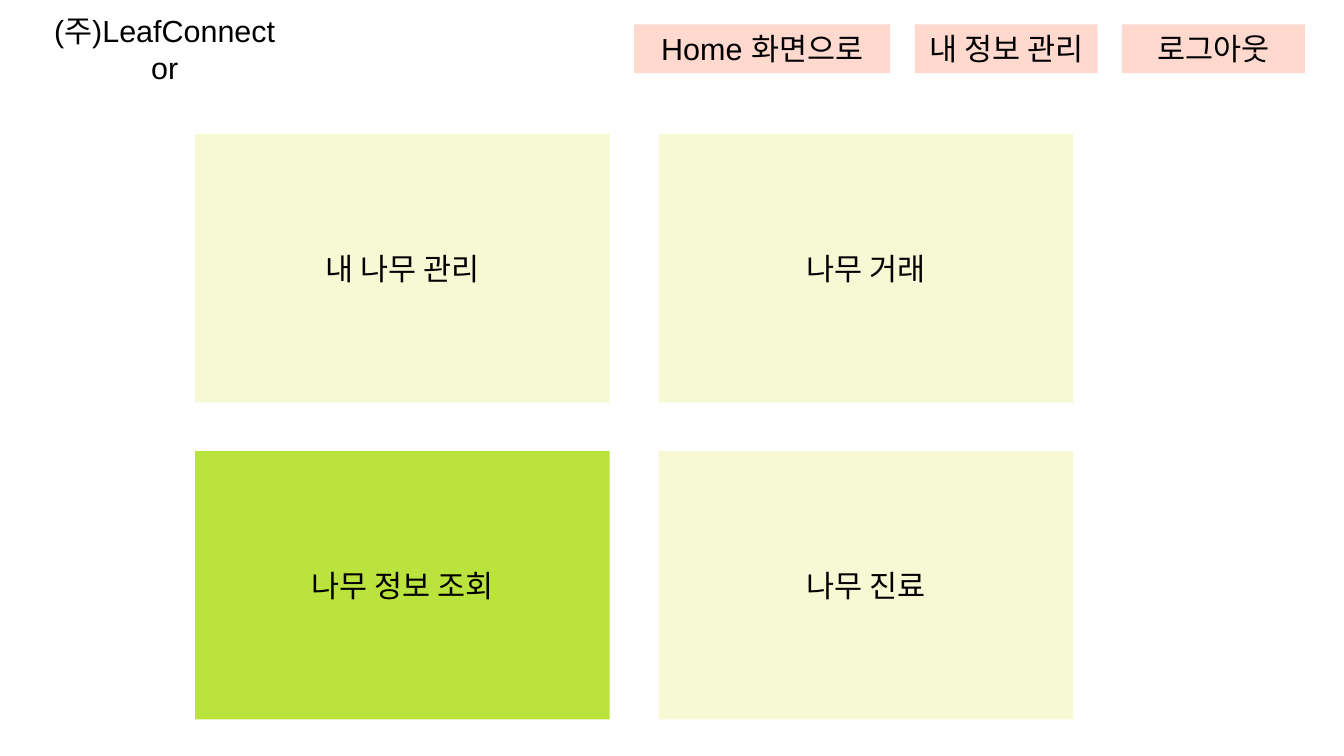
from dataclasses import dataclass

from pptx import Presentation
from pptx.dml.color import RGBColor
from pptx.enum.shapes import MSO_SHAPE
from pptx.enum.text import MSO_ANCHOR, MSO_AUTO_SIZE, PP_ALIGN
from pptx.shapes.autoshape import Shape
from pptx.slide import Slide
from pptx.util import Inches, Pt

WHITE = RGBColor(0xFF, 0xFF, 0xFF)
BLACK = RGBColor(0x00, 0x00, 0x00)
PINK = RGBColor(0xFF, 0xD8, 0xCE)
CREAM = RGBColor(0xF6, 0xF9, 0xD4)
LIME = RGBColor(0xBB, 0xE3, 0x3D)

CELL = Inches(0.1)  # every length below counts cells of this grid

NAV_LEFT, NAV_TOP, NAV_HEIGHT, NAV_GAP = 52, 2, 4, 2
MENU_LEFT, MENU_TOP, MENU_GAP = 16, 11, 4
TILE_WIDTH, TILE_HEIGHT = 34, 22


@dataclass(frozen=True)
class NavButton:
    label: str
    width: int


@dataclass(frozen=True)
class MenuTile:
    label: str
    column: int
    row: int
    color: RGBColor = CREAM


NAV_BUTTONS = [
    NavButton("Home 화면으로", 21),
    NavButton("내 정보 관리", 15),
    NavButton("로그아웃", 15),
]
MENU_TILES = [
    MenuTile("내 나무 관리", 0, 0),
    MenuTile("나무 거래", 1, 0),
    MenuTile("나무 정보 조회", 0, 1, LIME),
    MenuTile("나무 진료", 1, 1),
]


def style_box(shape: Shape, label: str, color: RGBColor) -> None:
    shape.fill.solid()
    shape.fill.fore_color.rgb = color
    shape.line.fill.background()
    frame = shape.text_frame
    frame.text = label
    frame.word_wrap = False
    frame.auto_size = MSO_AUTO_SIZE.NONE
    frame.vertical_anchor = MSO_ANCHOR.MIDDLE
    paragraph = frame.paragraphs[0]
    paragraph.alignment = PP_ALIGN.CENTER
    paragraph.font.name = "Arial"
    paragraph.font.size = Pt(18)
    paragraph.font.color.rgb = BLACK


def add_box(slide: Slide, label: str, color: RGBColor,
            left: int, top: int, width: int, height: int) -> None:
    shape = slide.shapes.add_shape(
        MSO_SHAPE.RECTANGLE, left * CELL, top * CELL, width * CELL, height * CELL)
    shape.shadow.inherit = False
    style_box(shape, label, color)


def place_title(slide: Slide, label: str) -> None:
    title = slide.shapes.title
    title.left, title.top = 3 * CELL, 1 * CELL
    title.width, title.height = 21 * CELL, 6 * CELL
    style_box(title, label, WHITE)


def add_navigation(slide: Slide) -> None:
    left = NAV_LEFT
    for button in NAV_BUTTONS:
        add_box(slide, button.label, PINK, left, NAV_TOP, button.width, NAV_HEIGHT)
        left += button.width + NAV_GAP


def add_menu(slide: Slide) -> None:
    for tile in MENU_TILES:
        left = MENU_LEFT + tile.column * (TILE_WIDTH + MENU_GAP)
        top = MENU_TOP + tile.row * (TILE_HEIGHT + MENU_GAP)
        add_box(slide, tile.label, tile.color, left, top, TILE_WIDTH, TILE_HEIGHT)


def main() -> None:
    presentation = Presentation()
    presentation.slide_width = Inches(11.02)
    presentation.slide_height = Inches(6.2)
    title_only = presentation.slide_layouts.get_by_name("Title Only")
    slide = presentation.slides.add_slide(title_only)
    place_title(slide, "(주)LeafConnector")
    add_navigation(slide)
    add_menu(slide)
    presentation.save("out.pptx")


if __name__ == "__main__":
    main()
